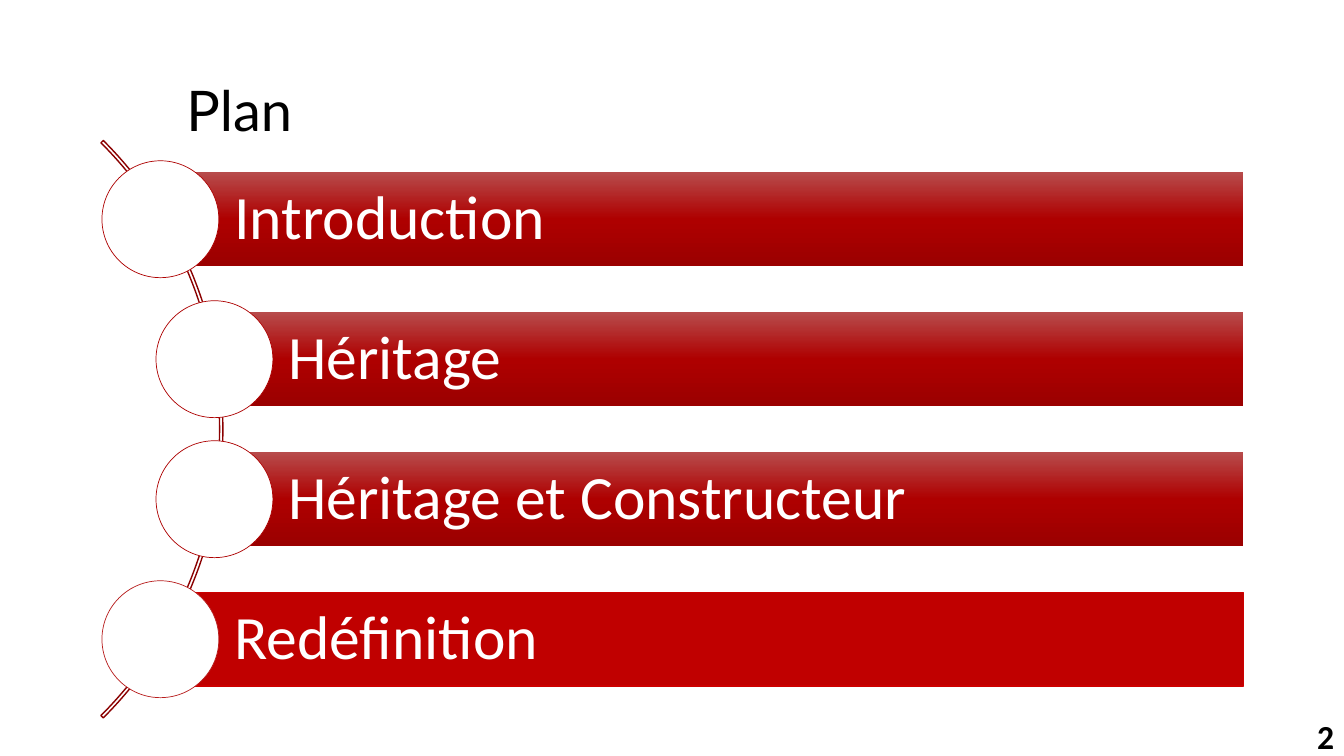
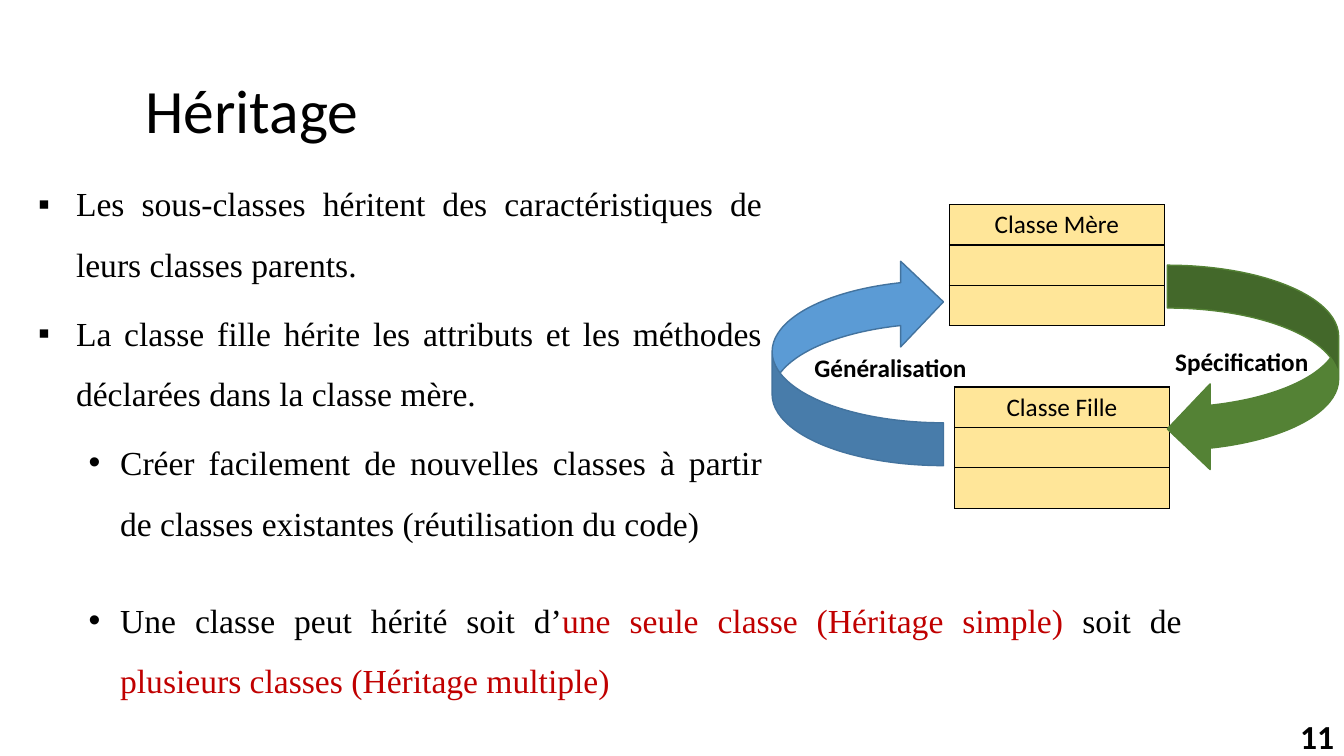
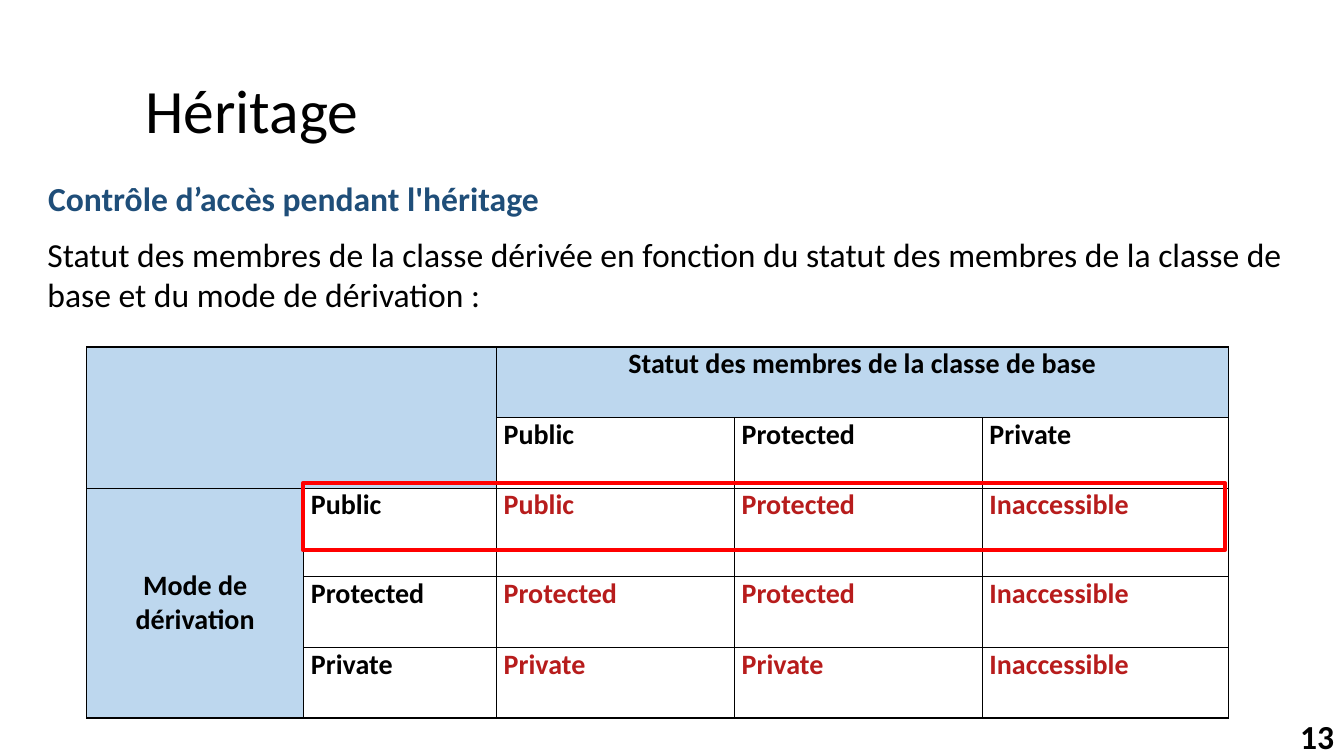
from copy import deepcopy
from dataclasses import dataclass

from lxml.etree import SubElement
from pptx import Presentation
from pptx.dml.color import RGBColor
from pptx.enum.shapes import MSO_SHAPE
from pptx.enum.text import MSO_ANCHOR, PP_ALIGN
from pptx.oxml.ns import qn
from pptx.util import Pt


@dataclass(frozen=True)
class Theme:
    black: str = "000000"
    white: str = "FFFFFF"
    bar_gradient: tuple = ((0, "B74B4B"), (0.5, "AE0000"), (1, "9B0000"))
    current_bar: str = "C00000"
    current_edge: str = "CC0000"
    arc: str = "8B0101"
    circle_edge: str = "AD0101"
    deep_red: str = "B71C1C"
    emphasis: str = "C00000"
    frame: str = "FF0000"
    class_fill: str = "FFE699"
    header_fill: str = "BDD7EE"
    heading: str = "1F4E79"
    green: str = "548235"
    blue: str = "5B9BD5"
    blue_edge: str = "43739E"
    font: str = "Calibri"
    plan_font: str = "Lato"
    serif: str = "Times New Roman"
    title_size: int = 44
    plan_size: int = 40
    body_size: int = 24
    table_size: int = 20
    label_size: int = 18


THEME = Theme()


@dataclass(frozen=True)
class Box:
    left: float
    top: float
    width: float
    height: float

    def lengths(self) -> tuple:
        return tuple(Pt(n) for n in (self.left, self.top, self.width, self.height))


@dataclass(frozen=True)
class Bullet:
    mark: str
    left: float
    hang: float


@dataclass(frozen=True)
class Topic:
    text: str
    left: float
    current: bool = False


@dataclass(frozen=True)
class ClassCard:
    name: str
    left: float
    top: float


@dataclass(frozen=True)
class Arrow:
    box: Box
    fill: str
    edge: str
    rotation: int = 0


SQUARE = Bullet("▪", 27, 27)
DOT = Bullet("•", 58.5, 22.5)

TOPICS = (
    Topic("Introduction", 114.6),
    Topic("Héritage", 153.2),
    Topic("Héritage et Constructeur", 153.2),
    Topic("Redéfinition", 114.6, current=True),
)
CARDS = (ClassCard("Classe Mère", 678.2, 146.2), ClassCard("Classe Fille", 681.8, 276.5))
ARROWS = (
    Arrow(Box(833.8, 189.4, 122.4, 147.6), THEME.green, THEME.green),
    Arrow(Box(551.5, 185, 122.4, 147.6), THEME.blue, THEME.blue_edge, 180),
)
STATUSES = ("Public", "Protected", "Private")
DERIVED = (
    ("Public", "Protected", "Inaccessible"),
    ("Protected", "Protected", "Inaccessible"),
    ("Private", "Private", "Inaccessible"),
)


# Text
def write(frame, text, *, size=THEME.body_size, font=THEME.font, color=THEME.black,
          bold=False, align=PP_ALIGN.LEFT, spacing=None, before=None, bullet=None) -> None:
    """Write one paragraph; text is a string or a sequence of (text, colour) pairs."""
    first = frame.paragraphs[0]
    paragraph = frame.add_paragraph() if first.runs else first
    paragraph.alignment = align
    if spacing is not None:
        paragraph.line_spacing = spacing
    if before is not None:
        paragraph.space_before = Pt(before)
    if bullet:
        properties = paragraph._p.get_or_add_pPr()
        properties.set("marL", str(Pt(bullet.left)))
        properties.set("indent", str(-Pt(bullet.hang)))
        SubElement(properties, qn("a:buFont")).set("typeface", "Arial")
        SubElement(properties, qn("a:buChar")).set("char", bullet.mark)
    for words, ink in ((text, color),) if isinstance(text, str) else text:
        run = paragraph.add_run()
        run.text = words
        run.font.name = font
        run.font.size = Pt(size)
        run.font.bold = bold
        run.font.color.rgb = RGBColor.from_string(ink)


def add_text_frame(slide, box: Box, anchor=MSO_ANCHOR.TOP, wrap: bool = True):
    frame = slide.shapes.add_textbox(*box.lengths()).text_frame
    frame.word_wrap = wrap
    frame.vertical_anchor = anchor
    return frame


# Shapes
def add_shape(slide, preset, box: Box, fill=None, edge=None, weight: float = 1):
    shape = slide.shapes.add_shape(preset, *box.lengths())
    shape.shadow.inherit = False
    if fill:
        shape.fill.solid()
        shape.fill.fore_color.rgb = RGBColor.from_string(fill)
    else:
        shape.fill.background()
    if edge:
        shape.line.color.rgb = RGBColor.from_string(edge)
        shape.line.width = Pt(weight)
    else:
        shape.line.fill.background()
    return shape


def shade_bar(bar) -> None:
    bar.fill.gradient()
    bar.fill.gradient_angle = 270
    stops = bar.element.find(".//" + qn("a:gsLst"))
    stops.insert(1, deepcopy(stops[0]))
    for stop, (position, color) in zip(bar.fill.gradient_stops, THEME.bar_gradient):
        stop.position = position
        stop.color.rgb = RGBColor.from_string(color)


# Tables
def add_grid(slide, left: float, top: float, columns, rows):
    box = Box(left, top, sum(columns), sum(rows))
    grid = slide.shapes.add_table(len(rows), len(columns), *box.lengths()).table
    grid.first_row = grid.horz_banding = False
    for column, width in zip(grid.columns, columns):
        column.width = Pt(width)
    for row, height in zip(grid.rows, rows):
        row.height = Pt(height)
    return grid


def style_cell(cell, fill: str) -> None:
    properties = cell._tc.get_or_add_tcPr()
    for side in ("lnL", "lnR", "lnT", "lnB"):
        border = SubElement(properties, qn(f"a:{side}"), w=str(Pt(1)))
        SubElement(SubElement(border, qn("a:solidFill")), qn("a:srgbClr"), val=THEME.black)
    cell.fill.solid()
    cell.fill.fore_color.rgb = RGBColor.from_string(fill)


# Title and page number
def start_slide(deck, title: str, number: int, left: float = 36.7, **title_format):
    slide = deck.slides.add_slide(deck.slide_layouts[6])
    title_frame = add_text_frame(slide, Box(left, 28.8, 828, 104.4), MSO_ANCHOR.MIDDLE)
    title_frame.margin_left = Pt(67)
    write(title_frame, title, spacing=0.9, **{"size": THEME.title_size, **title_format})
    number_frame = add_text_frame(slide, Box(744, 511.2, 216, 28.8), MSO_ANCHOR.MIDDLE)
    write(number_frame, str(number), bold=True, align=PP_ALIGN.RIGHT)
    return slide


def build_plan(deck) -> None:
    slide = start_slide(deck, "Plan", 2, left=66.2,
                        font=THEME.plan_font, size=THEME.plan_size)
    first_top, pitch, bar_height, bar_right, diameter = 123.2, 100, 66.8, 888, 83.5

    # Arc behind the topics
    arc = add_shape(slide, MSO_SHAPE.BLOCK_ARC, Box(-424, 15, 583.2, 583.2), edge=THEME.arc)
    for index, value in enumerate((189, 27, 0.004)):
        arc.adjustments[index] = value

    # Topic bars, each with a circle centred on its left edge
    for index, topic in enumerate(TOPICS):
        top = first_top + index * pitch
        box = Box(topic.left, top, bar_right - topic.left, bar_height)
        if topic.current:
            bar = add_shape(slide, MSO_SHAPE.RECTANGLE, box,
                            THEME.current_bar, THEME.current_edge, 0.75)
        else:
            bar = add_shape(slide, MSO_SHAPE.RECTANGLE, box)
            shade_bar(bar)
        frame = bar.text_frame
        frame.word_wrap = True
        frame.vertical_anchor = MSO_ANCHOR.MIDDLE
        frame.margin_left = Pt(52.8)
        frame.margin_top = frame.margin_right = frame.margin_bottom = Pt(8.4)
        write(frame, topic.text, size=THEME.title_size, color=THEME.white, spacing=0.9)
        circle = Box(topic.left - diameter / 2, top + (bar_height - diameter) / 2,
                     diameter, diameter)
        add_shape(slide, MSO_SHAPE.OVAL, circle, THEME.white,
                  THEME.deep_red if topic.current else THEME.circle_edge, 0.5)


def build_inheritance(deck) -> None:
    slide = start_slide(deck, "Héritage", 11)
    body = {"font": THEME.serif, "align": PP_ALIGN.JUSTIFY, "spacing": 1.5, "before": 6}

    # Principles
    principles = add_text_frame(slide, Box(20.2, 113, 531.4, 280.8))
    for text, bullet in (
        ("Les sous-classes héritent des caractéristiques de leurs classes parents.", SQUARE),
        ("La classe fille hérite les attributs et les méthodes déclarées dans la classe mère.",
         SQUARE),
        ("Créer facilement de nouvelles classes à partir de classes existantes "
         "(réutilisation du code)", DOT),
    ):
        write(principles, text, bullet=bullet, **body)

    # Parent and child classes
    for card in CARDS:
        grid = add_grid(slide, card.left, card.top, [153.4], [28.8] * 3)
        for cell in grid.iter_cells():
            style_cell(cell, THEME.class_fill)
        write(grid.cell(0, 0).text_frame, card.name, size=THEME.label_size,
              align=PP_ALIGN.CENTER)

    # Arrows and their labels
    for arrow in ARROWS:
        shape = add_shape(slide, MSO_SHAPE.CURVED_LEFT_ARROW, arrow.box,
                          arrow.fill, arrow.edge)
        shape.rotation = arrow.rotation
    generalisation = add_text_frame(slide, Box(574.6, 248.4, 129.6, 28.8))
    write(generalisation, "Généralisation", size=THEME.label_size, bold=True)
    specification = add_text_frame(slide, Box(831.6, 244.1, 110.9, 28.8), wrap=False)
    write(specification, "Spécification", size=THEME.label_size, bold=True,
          align=PP_ALIGN.CENTER)

    # Single and multiple inheritance
    kinds = add_text_frame(slide, Box(20.2, 410.4, 830.9, 94.3))
    write(kinds, (
        ("Une classe peut hérité soit d’", THEME.black),
        ("une seule classe (Héritage simple) ", THEME.emphasis),
        ("soit de ", THEME.black),
        ("plusieurs classes (Héritage multiple)", THEME.emphasis),
    ), bullet=DOT, **body)


def build_access(deck) -> None:
    slide = start_slide(deck, "Héritage", 13)

    # Introduction
    heading = add_text_frame(slide, Box(27.2, 123.8, 903.6, 36))
    write(heading, "Contrôle d’accès pendant l'héritage", color=THEME.heading, bold=True)
    intro = add_text_frame(slide, Box(26.8, 163.4, 903.6, 65.5))
    write(intro, "Statut des membres de la classe dérivée en fonction du statut des membres "
                 "de la classe de base et du mode de dérivation :")

    # Access table
    grid = add_grid(slide, 61.9, 247.9, [155, 137.7, 170, 177, 175.7],
                    [50.4, 50.4, 63.4, 50.4, 50.4])
    for row in range(5):
        for column in range(5):
            cell = grid.cell(row, column)
            is_header = row == 0 or column == 0 or (row == 1 and column == 1)
            style_cell(cell, THEME.header_fill if is_header else THEME.white)
            cell.margin_left = cell.margin_right = Pt(5.2)
            cell.margin_top = cell.margin_bottom = 0
    for first, last in (((0, 0), (1, 1)), ((0, 2), (0, 4)), ((2, 0), (4, 0))):
        grid.cell(*first).merge(grid.cell(*last))

    label = {"size": THEME.table_size, "bold": True}
    write(grid.cell(0, 2).text_frame, "Statut des membres de la classe de base",
          align=PP_ALIGN.CENTER, **label)
    mode = grid.cell(2, 0)
    mode.vertical_anchor = MSO_ANCHOR.MIDDLE
    write(mode.text_frame, "Mode de dérivation", align=PP_ALIGN.CENTER, **label)
    for index, status in enumerate(STATUSES):
        write(grid.cell(1, index + 2).text_frame, status, **label)
        write(grid.cell(index + 2, 1).text_frame, status, **label)
        for offset, result in enumerate(DERIVED[index]):
            write(grid.cell(index + 2, offset + 2).text_frame, result,
                  color=THEME.deep_red, align=PP_ALIGN.JUSTIFY, **label)

    # Frame around public derivation
    add_shape(slide, MSO_SHAPE.RECTANGLE, Box(216.7, 344.9, 658.1, 48.2),
              edge=THEME.frame, weight=3)


def main() -> None:
    deck = Presentation()
    deck.slide_width, deck.slide_height = Pt(960), Pt(540)
    for build in (build_plan, build_inheritance, build_access):
        build(deck)
    deck.save("out.pptx")


if __name__ == "__main__":
    main()
